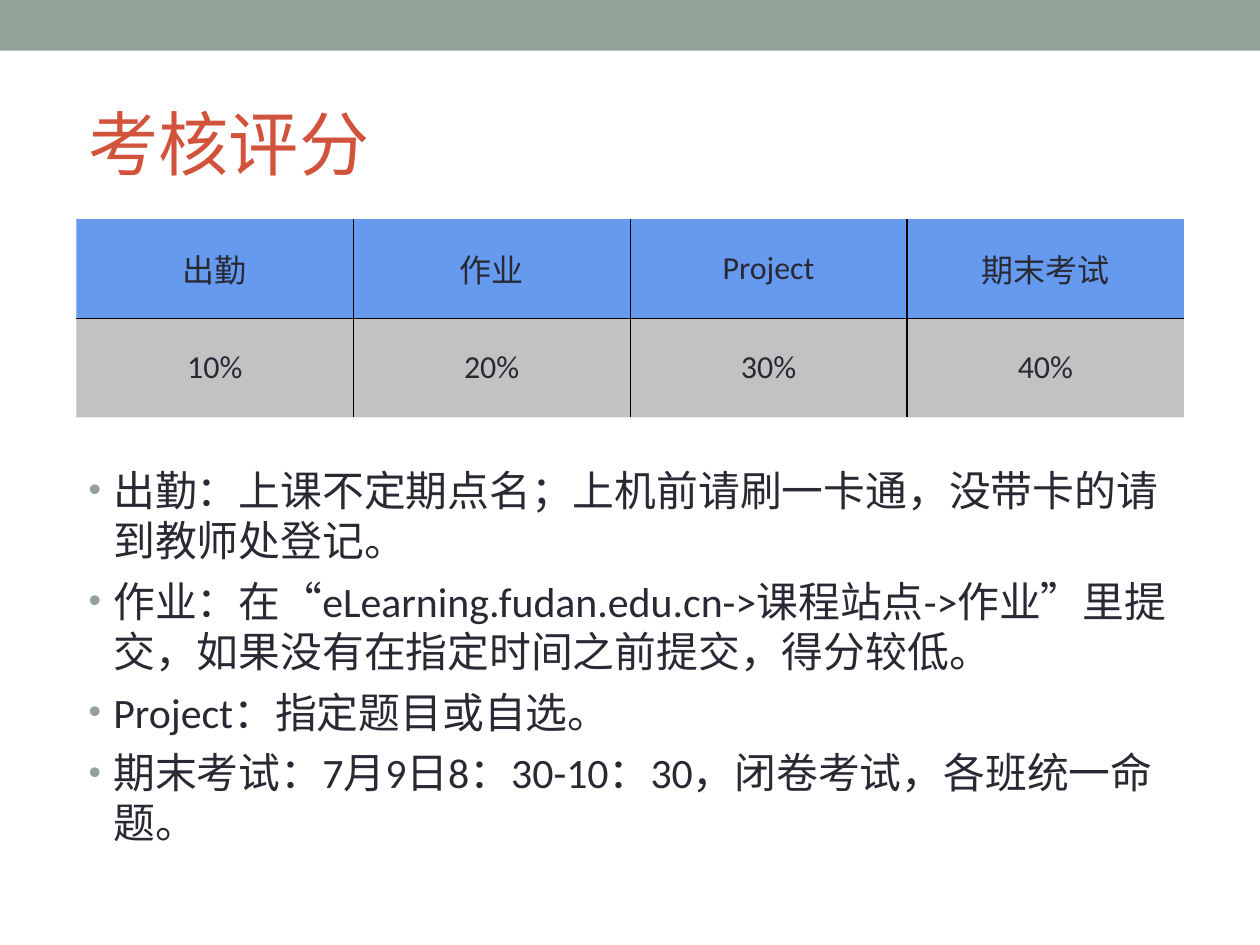
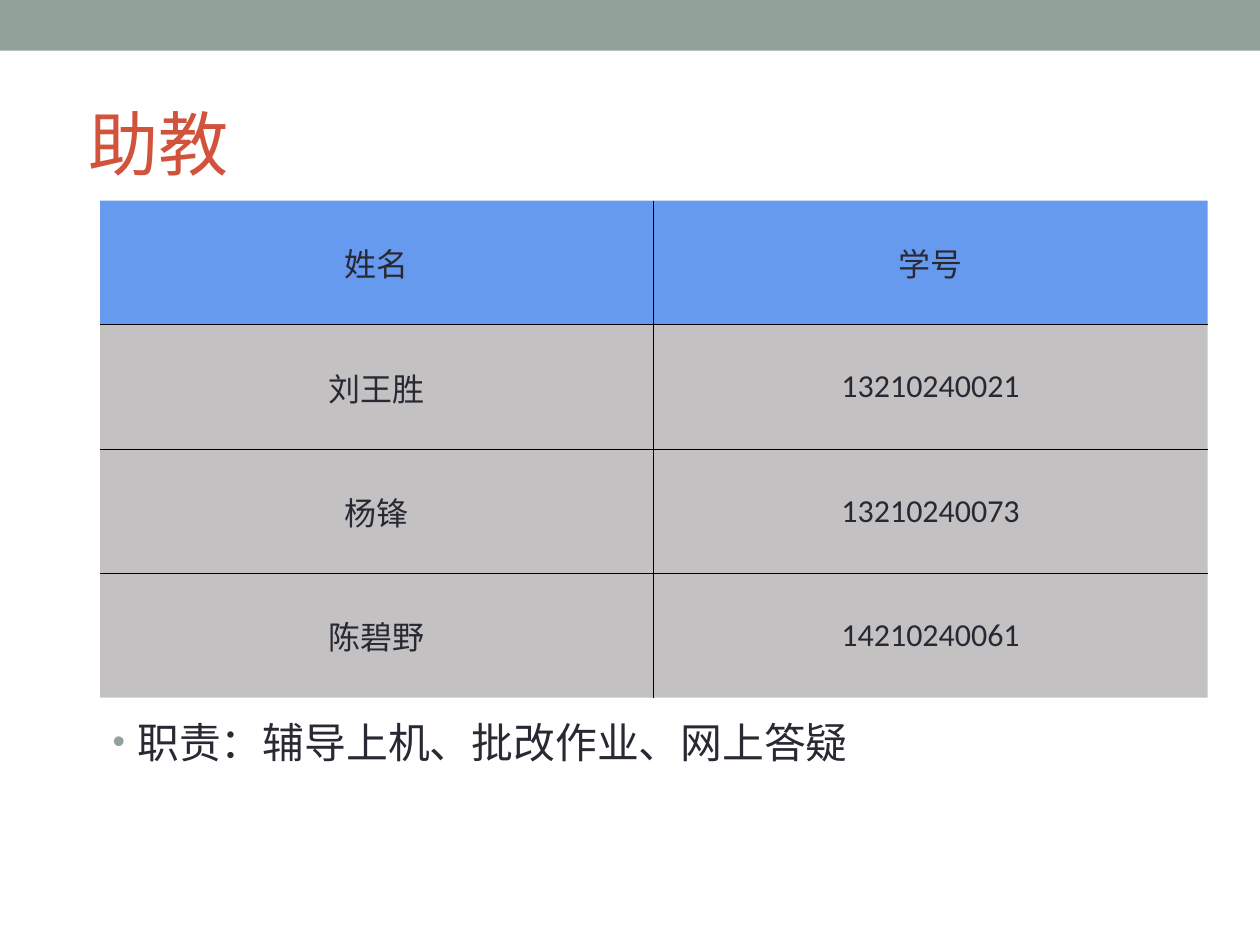
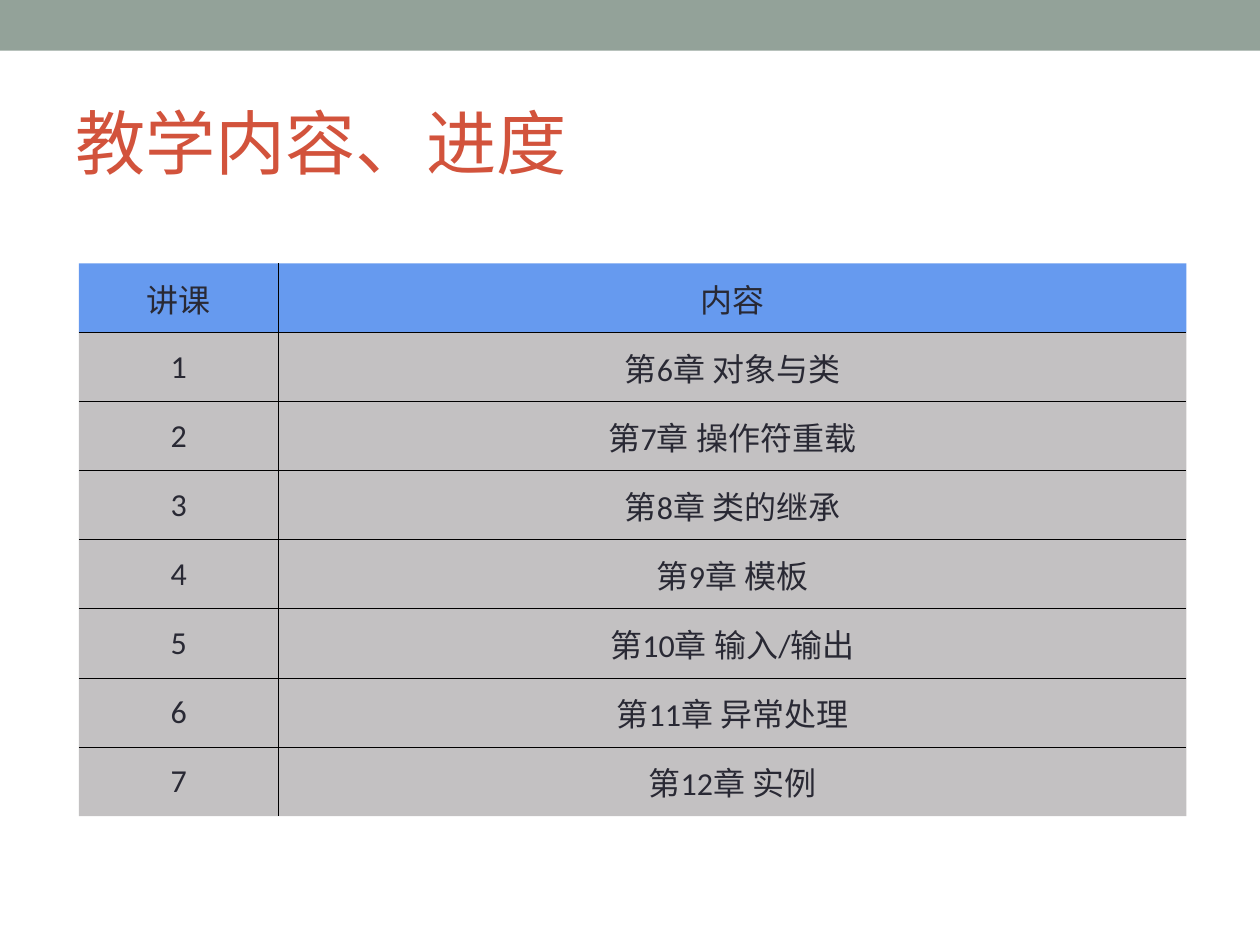
"""Build three course slides: grading, teaching assistants and schedule."""
from lxml import etree
from pptx import Presentation
from pptx.dml.color import RGBColor
from pptx.enum import shapes, text
from pptx.oxml import ns
from pptx.util import Cm, Pt

SAGE = RGBColor(0x93, 0xA2, 0x99)
RUST = RGBColor(0xD2, 0x53, 0x3C)
INK = RGBColor(0x29, 0x29, 0x34)
BLUE = RGBColor(0x00, 0x57, 0xE5)
GREY = RGBColor(0x54, 0x4E, 0x51)
BLACK = RGBColor(0, 0, 0)
LATIN = "Calibri"
HAN = "Noto Sans CJK SC"
WIDE, HIGH = 36.12, 27.08
SPAN = 31.75


def node(root, tag, **attrs):
    """Append a drawing element and return it."""
    return etree.SubElement(root, ns.qn("a:" + tag), attrs)


def style(para, size, color, face=LATIN):
    """Format every run of a paragraph."""
    for run in para.runs:
        font = run.font
        font.size, font.name, font.bold = Pt(size), face, False
        font.color.rgb = color
        node(run._r.get_or_add_rPr(), "ea", typeface=HAN)


def add_box(slide, left, top, width, height):
    """Add a wrapping text box and return its frame."""
    box = slide.shapes.add_textbox(Cm(left), Cm(top), Cm(width), Cm(height))
    frame = box.text_frame
    frame.word_wrap = True
    frame.margin_left = frame.margin_right = Cm(0.36)
    frame.margin_top = frame.margin_bottom = Cm(0.18)
    return frame


def add_page(deck, title, left=2.18, top=0, width=SPAN, height=8.18):
    """Add a slide with the top band and a title."""
    slide = deck.slides.add_slide(deck.slide_layouts[6])
    band = slide.shapes.add_shape(
        shapes.MSO_SHAPE.RECTANGLE, 0, 0, deck.slide_width, Cm(1.45))
    band.shadow.inherit = False
    band.fill.solid()
    band.fill.fore_color.rgb = SAGE
    band.line.fill.background()
    frame = add_box(slide, left, top, width, height)
    frame.vertical_anchor = text.MSO_ANCHOR.MIDDLE
    frame.text = title
    style(frame.paragraphs[0], 57, RUST, HAN)
    return slide


def add_list(slide, left, top, height, items):
    """Add a bulleted list."""
    frame = add_box(slide, left, top, SPAN, height)
    frame.text = "\n".join(items)
    for num, para in enumerate(frame.paragraphs):
        para.space_before = Pt(8.5 if num else 0)
        props = para._p.get_or_add_pPr()
        props.set("marL", str(Cm(0.71)))
        props.set("indent", str(Cm(-0.71)))
        node(node(props, "buClr"), "srgbClr", val=str(SAGE))
        node(props, "buSzPct", val="85000")
        node(props, "buFont", typeface="Arial")
        node(props, "buChar", char="•")
        style(para, 34, INK)


def set_edge(cell, side, shown):
    """Draw or hide one border of a cell."""
    line = node(cell._tc.get_or_add_tcPr(), "ln" + side, w=str(Pt(0.96)))
    if shown:
        node(node(line, "solidFill"), "srgbClr", val=str(BLACK))
    else:
        node(line, "noFill")


def set_fill(cell, color, alpha):
    """Fill a cell with a colour at a percentage of opacity."""
    cell.fill.solid()
    cell.fill.fore_color.rgb = color
    tint = cell._tc.tcPr.find(ns.qn("a:solidFill"))[0]
    node(tint, "alpha", val=str(alpha * 1000))


def add_grid(slide, left, top, widths, step, rows):
    """Add a table with a header row and inner rules only."""
    count, cols = len(rows), len(widths)
    grid = slide.shapes.add_table(
        count, cols, Cm(left), Cm(top), Cm(sum(widths)), Cm(step * count)).table
    grid.first_row = grid.horz_banding = False
    for col, width in zip(grid.columns, widths):
        col.width = Cm(width)
    for i, row in enumerate(rows):
        grid.rows[i].height = Cm(step)
        for j, word in enumerate(row):
            cell = grid.cell(i, j)
            cell.text = word
            cell.vertical_anchor = text.MSO_ANCHOR.MIDDLE
            cell.margin_left = cell.margin_right = Cm(0.16)
            cell.margin_top = cell.margin_bottom = Cm(0.13)
            edges = {"L": j > 0, "R": j < cols - 1,
                     "T": i > 0, "B": i < count - 1}
            for side, shown in edges.items():
                set_edge(cell, side, shown)
            set_fill(cell, *((GREY, 35) if i else (BLUE, 60)))
            para = cell.text_frame.paragraphs[0]
            para.alignment = text.PP_ALIGN.CENTER
            style(para, 26, INK)


def add_grades(deck):
    """Add the grading slide."""
    slide = add_page(deck, "考核评分")
    add_list(slide, 2.18, 13.13, 12.4, [
        "出勤：上课不定期点名；上机前请刷一卡通，没带卡的请到教师处登记。",
        "作业：在“eLearning.fudan.edu.cn->课程站点->作业”里提交，"
        "如果没有在指定时间之前提交，得分较低。",
        "Project：指定题目或自选。",
        "期末考试：7月9日8：30-10：30，闭卷考试，各班统一命题。",
    ])
    add_grid(slide, 2.19, 6.28, [SPAN / 4] * 4, 2.84, [
        ("出勤", "作业", "Project", "期末考试"),
        ("10%", "20%", "30%", "40%"),
    ])


def add_staff(deck):
    """Add the teaching assistants slide."""
    slide = add_page(deck, "助教")
    add_list(slide, 2.87, 20.35, 4.78, ["职责：辅导上机、批改作业、网上答疑"])
    add_grid(slide, 2.87, 5.75, [SPAN / 2] * 2, 3.56, [
        ("姓名", "学号"),
        ("刘王胜", "13210240021"),
        ("杨锋", "13210240073"),
        ("陈碧野", "14210240061"),
    ])


def add_plan(deck):
    """Add the schedule slide."""
    slide = add_page(deck, "教学内容、进度", 1.8, 2.11, 32.51, 3.91)
    topics = ["第6章 对象与类", "第7章 操作符重载", "第8章 类的继承",
              "第9章 模板", "第10章 输入/输出", "第11章 异常处理",
              "第12章 实例"]
    rows = [(str(num), topic) for num, topic in enumerate(topics, 1)]
    add_grid(slide, 2.26, 7.55, [5.73, SPAN - 5.73], 1.98,
             [("讲课", "内容")] + rows)


def main():
    """Build and save the deck."""
    deck = Presentation()
    deck.slide_width, deck.slide_height = Cm(WIDE), Cm(HIGH)
    for build in (add_grades, add_staff, add_plan):
        build(deck)
    deck.save("out.pptx")


if __name__ == "__main__":
    main()
